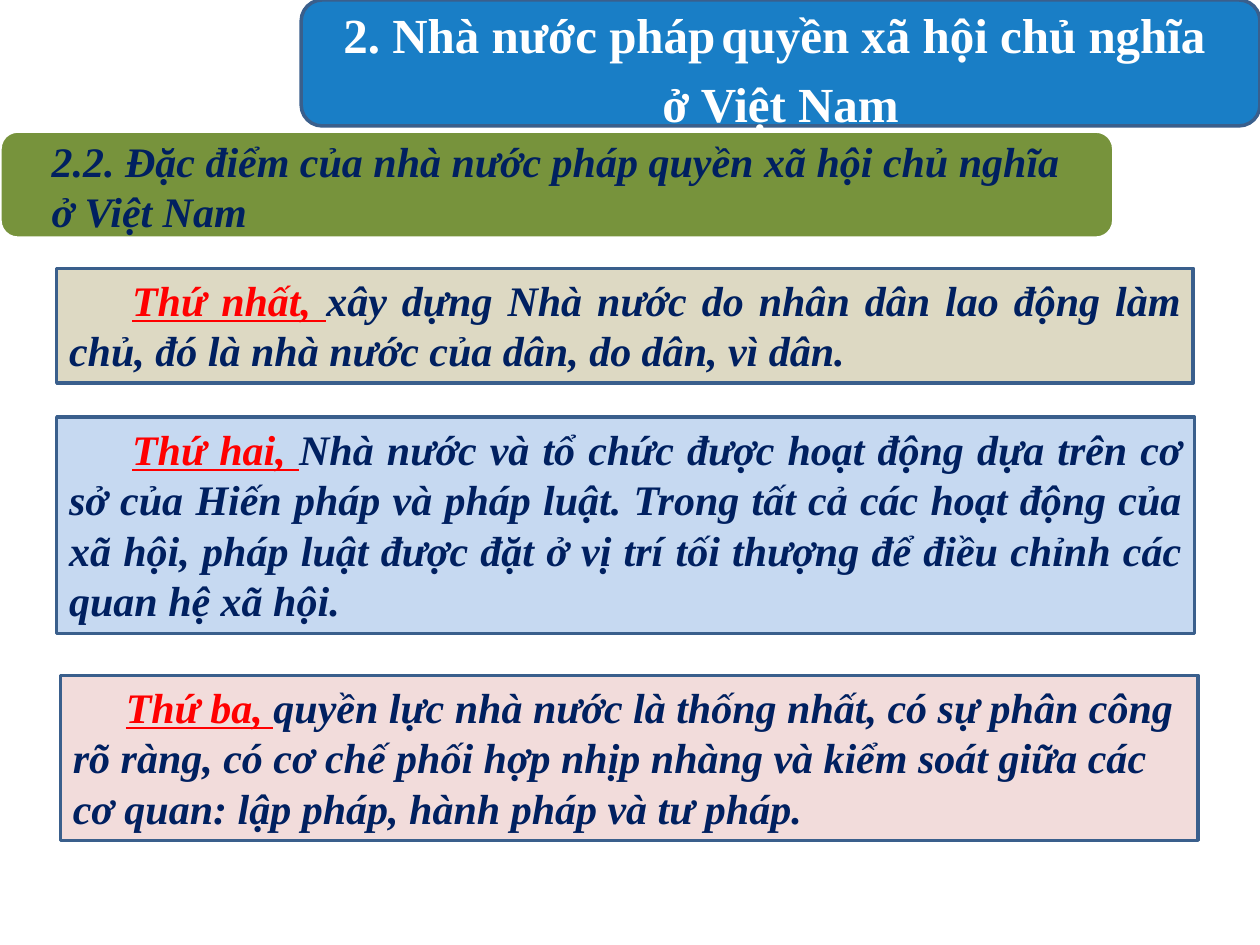
from dataclasses import dataclass

from lxml import etree
from pptx import Presentation
from pptx import util as u
from pptx.dml.color import RGBColor
from pptx.enum import shapes, text
from pptx.oxml.ns import qn

Inches = u.Inches


@dataclass(frozen=True)
class Theme:
    font: str = "Times New Roman"
    title_size: int = 28
    body_size: int = 24
    title_fill: str = "0070C0"
    heading_fill: str = "77933C"
    outline: str = "3A5F8C"
    white: str = "FFFFFF"
    navy: str = "002060"
    red: str = "FF0000"


theme = Theme()


def add_box(parent, kind, place, fill, line):
    shape = parent.add_shape(kind, *(Inches(length) for length in place))
    shape.shadow.inherit = False
    shape.fill.solid()
    shape.fill.fore_color.rgb = RGBColor.from_string(fill)
    shape.line.color.rgb = RGBColor.from_string(line)
    shape.line.width = u.Pt(2)
    return shape


def add_run(paragraph, words, size=theme.body_size, color=theme.navy, italic=True, underline=False):
    run = paragraph.add_run()
    run.text = words
    font = run.font
    font.name, font.size = theme.font, u.Pt(size)
    font.bold, font.italic, font.underline = True, italic, underline
    font.color.rgb = RGBColor.from_string(color)


presentation = Presentation()
presentation.slide_width, presentation.slide_height = Inches(10), Inches(7.5)
slide = presentation.slides.add_slide(presentation.slide_layouts[6])
rounded, rectangle = shapes.MSO_SHAPE.ROUNDED_RECTANGLE, shapes.MSO_SHAPE.RECTANGLE

# Title banner, slightly transparent
title = add_box(slide.shapes, rounded, (2.39, 0, 7.61, 1), theme.title_fill, theme.outline)
title_color = title.fill._xPr.find(qn("a:solidFill"))[0]
etree.SubElement(title_color, qn("a:alpha"), val="90000")
frame = title.text_frame
frame.word_wrap = True
frame.vertical_anchor = text.MSO_ANCHOR.TOP
frame.margin_top = frame.margin_bottom = Inches(-0.01)
for index, words in enumerate(("2. Nhà nước pháp\tquyền xã hội chủ nghĩa ", "ở Việt Nam")):
    paragraph = frame.add_paragraph() if index else frame.paragraphs[0]
    paragraph.alignment = text.PP_ALIGN.CENTER
    paragraph.space_before = u.Pt(5.4 if index else 0)
    add_run(paragraph, words, size=theme.title_size, color=theme.white, italic=False)

# Section heading: green bar with its label
heading = slide.shapes.add_group_shape()
add_box(heading.shapes, rounded, (0, 1.04, 8.84, 0.85), theme.heading_fill, theme.white)
label = heading.shapes.add_textbox(Inches(0.17), Inches(1.09), Inches(8.74), Inches(0.77))
frame = label.text_frame
frame.word_wrap = True
frame.vertical_anchor = text.MSO_ANCHOR.MIDDLE
frame.margin_left = frame.margin_right = Inches(0.24)
frame.margin_top = frame.margin_bottom = 0
add_run(frame.paragraphs[0], "2.2. Đặc điểm của nhà nước pháp quyền xã hội chủ nghĩa ở Việt Nam")

# The three features: place, fill, alignment, first-line indent, lead words, statement
justify, left = text.PP_ALIGN.JUSTIFY, text.PP_ALIGN.LEFT
features = [
    ((0.45, 2.13, 9.02, 0.91), "DDD9C3", justify, 0.5, "Thứ nhất, ",
     "xây dựng Nhà nước do nhân dân lao động làm chủ, đó là nhà nước của dân, do dân, vì dân."),
    ((0.45, 3.31, 9.03, 1.72), "C6D9F1", justify, 0.5, "Thứ hai, ",
     "Nhà nước và tổ chức được hoạt động dựa trên cơ sở của Hiến pháp và pháp luật. "
     "Trong tất cả các hoạt động của xã hội, pháp luật được đặt ở vị trí tối thượng "
     "để điều chỉnh các quan hệ xã hội."),
    ((0.48, 5.36, 9.03, 1.31), "F2DCDB", left, 0.42, "Thứ ba, ",
     "quyền lực nhà nước là thống nhất, có sự phân công rõ ràng, có cơ chế phối hợp "
     "nhịp nhàng và kiểm soát giữa các cơ quan: lập pháp, hành pháp và tư pháp."),
]
for place, fill, alignment, indent, lead, statement in features:
    frame = add_box(slide.shapes, rectangle, place, fill, theme.outline).text_frame
    frame.word_wrap = True
    frame.auto_size = text.MSO_AUTO_SIZE.SHAPE_TO_FIT_TEXT
    frame.vertical_anchor = text.MSO_ANCHOR.TOP
    paragraph = frame.paragraphs[0]
    paragraph.alignment = alignment
    properties = paragraph._p.get_or_add_pPr()
    properties.set("marL", "0")
    properties.set("indent", str(Inches(indent)))
    add_run(paragraph, lead, color=theme.red, underline=True)
    add_run(paragraph, statement)

presentation.save("out.pptx")
